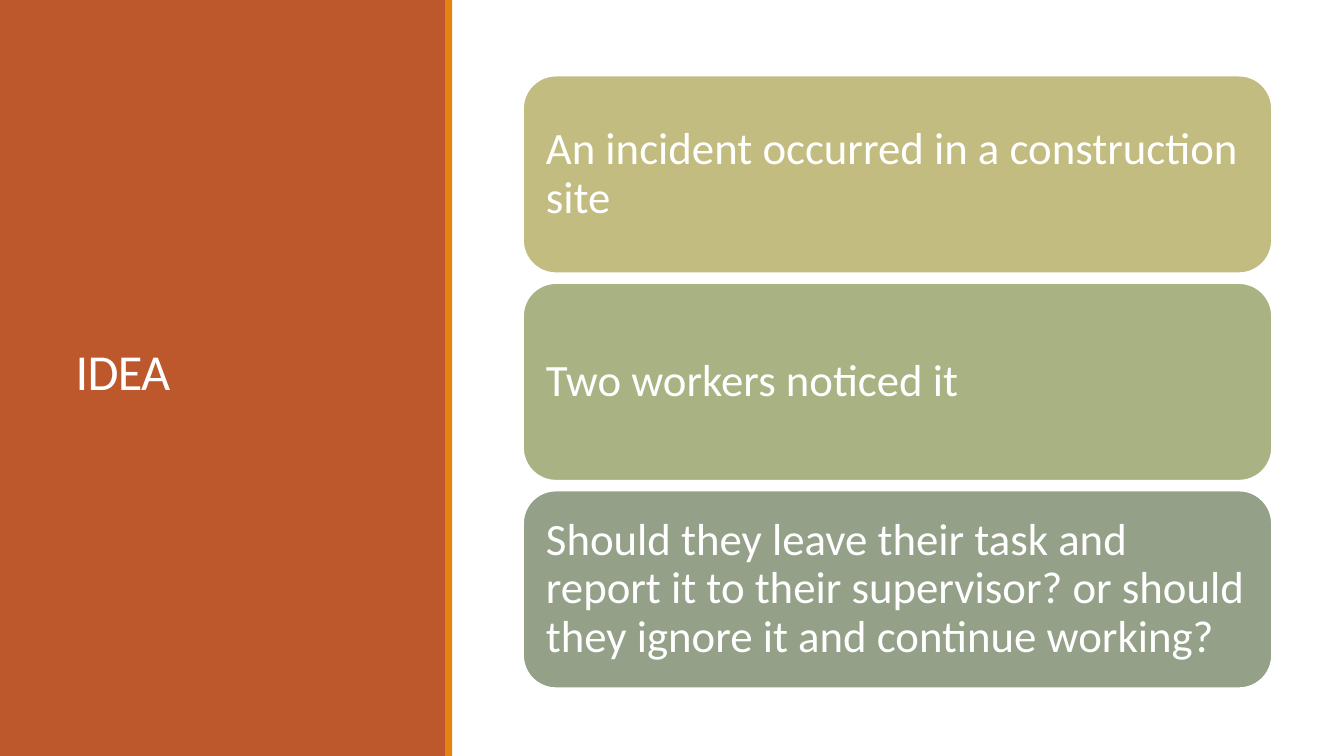
from pptx import Presentation
from pptx.dml.color import RGBColor
from pptx.enum.shapes import MSO_SHAPE
from pptx.enum.text import MSO_ANCHOR, MSO_AUTO_SIZE, PP_ALIGN
from pptx.util import Pt

RECT, ROUNDED = MSO_SHAPE.RECTANGLE, MSO_SHAPE.ROUNDED_RECTANGLE
MIDDLE, LEFT, NO_FIT = MSO_ANCHOR.MIDDLE, PP_ALIGN.LEFT, MSO_AUTO_SIZE.NONE
WHITE = RGBColor(0xFF, 0xFF, 0xFF)
RUST = RGBColor(0xBD, 0x58, 0x2C)
ORANGE = RGBColor(0xE4, 0x83, 0x12)
SAND = RGBColor(0xC2, 0xBC, 0x80)
OLIVE = RGBColor(0xA8, 0xB2, 0x83)
SAGE = RGBColor(0x94, 0xA0, 0x88)
FONT = "Calibri"

CARDS = [
    ("An incident occurred in a construction site", SAND),
    ("Two workers noticed it", OLIVE),
    ("Should they leave their task and report it to their supervisor? "
     "or should they ignore it and continue working?", SAGE),
]
CARD_TOP, CARD_HEIGHT, CARD_STEP = 54, 141.2, 148.2


def add_block(kind, left, top, width, height, color):
    block = slide.shapes.add_shape(kind, Pt(left), Pt(top), Pt(width), Pt(height))
    block.shadow.inherit = False
    block.fill.solid()
    block.fill.fore_color.rgb = color
    block.line.fill.background()
    return block


def write_text(frame, text, size, line_spacing):
    frame.word_wrap = True
    frame.auto_size = NO_FIT
    frame.vertical_anchor = MIDDLE
    paragraph = frame.paragraphs[0]
    paragraph.text = text
    paragraph.alignment = LEFT
    paragraph.line_spacing = line_spacing
    paragraph.font.name = FONT
    paragraph.font.size = Pt(size)
    paragraph.font.color.rgb = WHITE
    return paragraph


prs = Presentation()
prs.slide_width, prs.slide_height = Pt(960), Pt(540)
slide = prs.slides.add_slide(prs.slide_layouts[5])

# Left panel with its accent stripe
add_block(RECT, 0, 0, 319, 540, RUST)
add_block(RECT, 318, 0, 5, 540, ORANGE)

# Title, brought in front of the panel
title = slide.shapes.title
title.left, title.top, title.width, title.height = Pt(39), Pt(41), Pt(243), Pt(454)
heading = write_text(title.text_frame, "IDEA", 36, 0.85)
heading.runs[0]._r.get_or_add_rPr().set("spc", "-50")
title.text_frame.margin_left = Pt(15)
slide.shapes._spTree.append(title._element)

# Stacked cards
for row, (statement, color) in enumerate(CARDS):
    card = add_block(ROUNDED, 373.6, CARD_TOP + row * CARD_STEP, 535, CARD_HEIGHT, color)
    card.line.color.rgb = WHITE
    card.line.width = Pt(1.25)
    frame = card.text_frame
    write_text(frame, statement, 32, 0.9)
    # The rounded corners add their own text inset of about 7 pt
    frame.margin_left = frame.margin_right = Pt(9.5)
    frame.margin_top = frame.margin_bottom = Pt(9.5)

prs.save("out.pptx")
